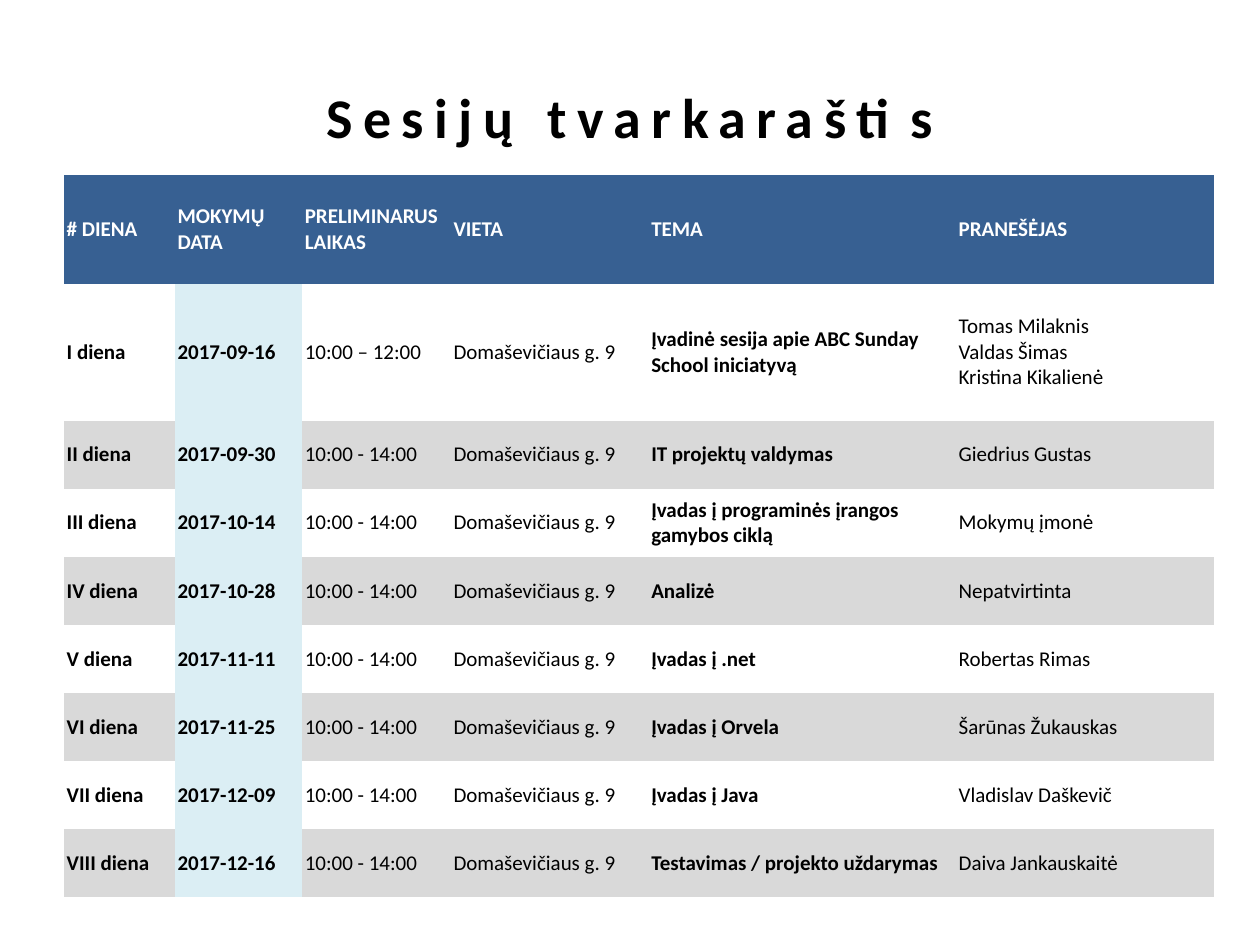
from dataclasses import dataclass

from pptx import Presentation, util as u
from pptx.dml.color import RGBColor
from pptx.enum import text


@dataclass(frozen=True)
class Theme:
    font: str = "Calibri"
    title_size: int = 32
    table_size: int = 12
    title_spacing: int = 6
    ink: str = "000000"
    header_ink: str = "FFFFFF"
    header_fill: str = "376092"
    date_fill: str = "DBEEF4"
    row_fills: tuple[str, str] = ("FFFFFF", "D9D9D9")
    plain_style: str = "{2D5ABB26-0587-4C30-8999-92F81FD0307C}"


@dataclass(frozen=True)
class Session:
    day: str
    date: str
    topic: str
    speakers: str
    time: str = "10:00 - 14:00"
    place: str = "Domaševičiaus g. 9"

    def cells(self) -> tuple[str, ...]:
        return (f"{self.day} diena", self.date, self.time,
                self.place, self.topic, self.speakers)


THEME = Theme()
HEADERS = ("# DIENA", "MOKYMŲ DATA", "PRELIMINARUS LAIKAS",
           "VIETA", "TEMA", "PRANEŠĖJAS")
COLUMN_WIDTHS = (0.88, 1.01, 1.18, 1.57, 2.44, 2.05)
HEADER_HEIGHT, FIRST_HEIGHT, ROW_HEIGHT = 0.86, 1.09, 0.54
DATE_COLUMN = 1
BOLD_COLUMNS = (0, 1, 4)
SESSIONS = (
    Session("I", "2017-09-16", "Įvadinė sesija apie ABC Sunday School iniciatyvą",
            "Tomas Milaknis\nValdas Šimas\nKristina Kikalienė", "10:00 – 12:00"),
    Session("II", "2017-09-30", "IT projektų valdymas", "Giedrius Gustas"),
    Session("III", "2017-10-14", "Įvadas į programinės įrangos gamybos ciklą",
            "Mokymų įmonė"),
    Session("IV", "2017-10-28", "Analizė", "Nepatvirtinta"),
    Session("V", "2017-11-11", "Įvadas į .net", "Robertas Rimas"),
    Session("VI", "2017-11-25", "Įvadas į Orvela", "Šarūnas Žukauskas"),
    Session("VII", "2017-12-09", "Įvadas į Java", "Vladislav Daškevič"),
    Session("VIII", "2017-12-16", "Testavimas / projekto uždarymas",
            "Daiva Jankauskaitė"),
)


def apply(target, formats: dict) -> None:
    for name, value in formats.items():
        setattr(target, name, value)


def write(tf, content: str, size: int, color: str, bold: bool) -> None:
    tf.text = content
    for p in tf.paragraphs:
        for r in p.runs:
            apply(r.font, {"name": THEME.font, "size": u.Pt(size), "bold": bold})
            r.font.color.rgb = RGBColor.from_string(color)


def add_title(s, content: str) -> None:
    sp = s.shapes.add_textbox(u.Inches(0.5), u.Inches(0.3), u.Inches(9), u.Inches(1.25))
    tf = sp.text_frame
    apply(tf, {"word_wrap": True, "vertical_anchor": text.MSO_ANCHOR.MIDDLE})
    write(tf, content, THEME.title_size, THEME.ink, True)
    p = tf.paragraphs[0]
    p.alignment = text.PP_ALIGN.CENTER
    p.runs[0].font._element.set("spc", str(THEME.title_spacing * 100))


def fill_cell(cell, content: str, fill: str, color: str, bold: bool) -> None:
    side = u.Inches(0.02)
    apply(cell, {"margin_left": side, "margin_right": side, "margin_top": 0,
                 "margin_bottom": 0, "vertical_anchor": text.MSO_ANCHOR.MIDDLE})
    cell.fill.solid()
    cell.fill.fore_color.rgb = RGBColor.from_string(fill)
    write(cell.text_frame, content, THEME.table_size, color, bold)


def add_schedule(s, sessions: tuple[Session, ...]) -> None:
    heights = [HEADER_HEIGHT, FIRST_HEIGHT] + [ROW_HEIGHT] * (len(sessions) - 1)
    frame = s.shapes.add_table(
        len(heights), len(HEADERS), u.Inches(0.51), u.Inches(1.39),
        u.Inches(sum(COLUMN_WIDTHS)), u.Inches(sum(heights)))
    table = frame.table
    table.horz_banding = False
    table._tbl.tblPr[0].text = THEME.plain_style
    for column, width in zip(table.columns, COLUMN_WIDTHS):
        column.width = u.Inches(width)
    for row, height in zip(table.rows, heights):
        row.height = u.Inches(height)
    for c, header in enumerate(HEADERS):
        fill_cell(table.cell(0, c), header, THEME.header_fill, THEME.header_ink, True)
    for i, session in enumerate(sessions):
        for c, content in enumerate(session.cells()):
            fill = THEME.date_fill if c == DATE_COLUMN else THEME.row_fills[i % 2]
            fill_cell(table.cell(i + 1, c), content, fill, THEME.ink, c in BOLD_COLUMNS)


def main() -> None:
    prs = Presentation()
    apply(prs, {"slide_width": u.Inches(10), "slide_height": u.Inches(7.5)})
    s = prs.slides.add_slide(prs.slide_layouts[6])
    add_title(s, "Sesijų tvarkaraštis")
    add_schedule(s, SESSIONS)
    prs.save("out.pptx")


if __name__ == "__main__":
    main()
